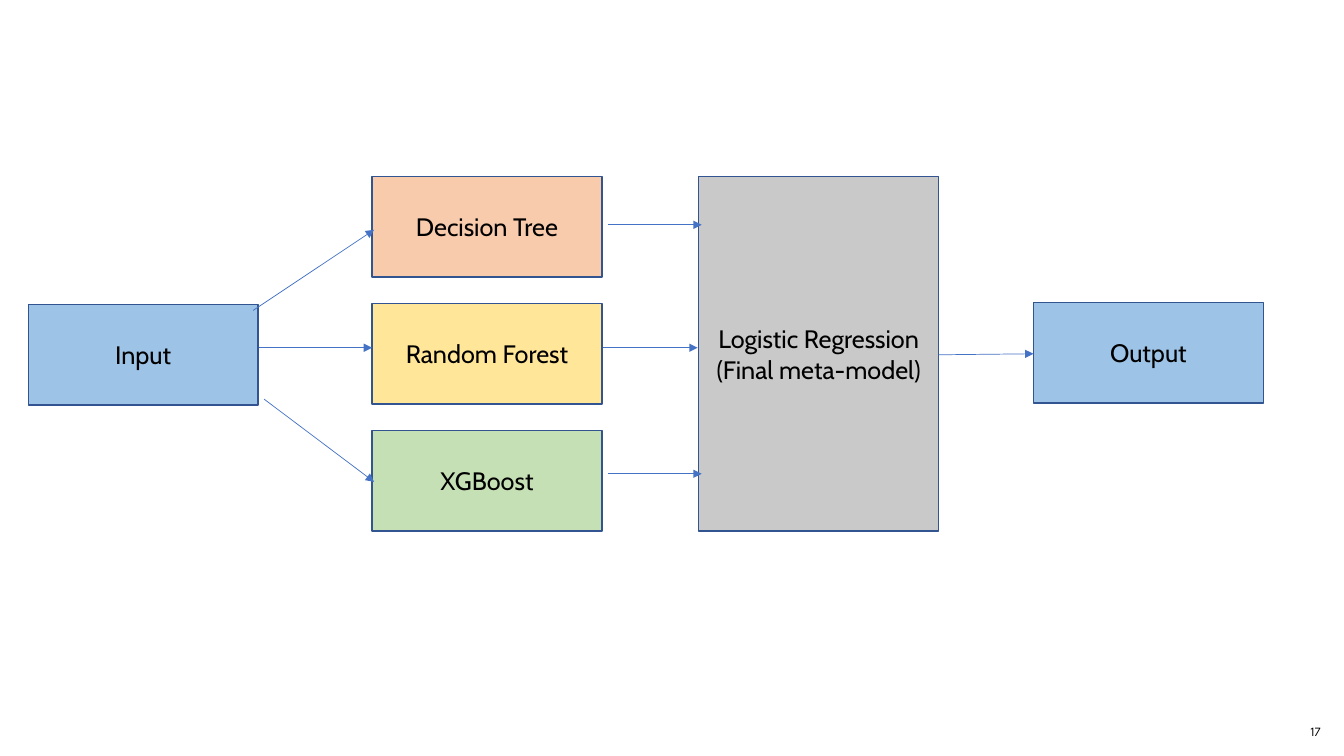
from dataclasses import dataclass

from pptx import Presentation
from pptx import util as u
from pptx.dml.color import RGBColor
from pptx.enum import shapes, text
from pptx.oxml import ns
from lxml import etree

PX = 9144


@dataclass(frozen=True)
class Theme:
    blue: str = "9DC3E6"
    peach: str = "F8CBAD"
    gold: str = "FFE699"
    green: str = "C5E0B4"
    gray: str = "C9C9C9"
    edge: str = "325491"
    arrow: str = "4472C4"
    ink: str = "000000"
    body: str = "Cabin"
    foot: str = "League Spartan"
    label: int = 18
    number: int = 9
    border: float = 1
    stroke: float = 0.5


@dataclass(frozen=True)
class Box:
    words: str
    left: int
    top: int
    fill: str
    wide: int = 228
    high: int = 100


@dataclass(frozen=True)
class Arrow:
    x1: int
    y1: int
    x2: int
    y2: int


THEME = Theme()
TOP, PITCH = 175, 126
MODELS = (
    ("Decision Tree", THEME.peach),
    ("Random Forest", THEME.gold),
    ("XGBoost", THEME.green),
)
BOXES = [
    Box(name, 369, TOP + row * PITCH, fill)
    for row, (name, fill) in enumerate(MODELS)
] + [
    Box("Input", 28, 302, THEME.blue),
    Box("Logistic Regression\n(Final meta-model)", 693, TOP, THEME.gray, 238, 352),
    Box("Output", 1025, 300, THEME.blue),
]
ARROWS = [
    Arrow(251, 308, 371, 228),
    Arrow(257, 345, 369, 345),
    Arrow(262, 396, 371, 478),
    Arrow(603, 223, 696, 223),
    Arrow(598, 345, 692, 345),
    Arrow(603, 470, 696, 470),
    Arrow(931, 352, 1025, 351),
]


def px(count: int) -> u.Emu:
    return u.Emu(count * PX)


def rgb(code: str) -> RGBColor:
    return RGBColor.from_string(code)


def write(frame, words: str, face: str, size: int, align) -> None:
    frame.text = words
    frame.word_wrap = True
    frame.vertical_anchor = text.MSO_ANCHOR.MIDDLE
    for para in frame.paragraphs:
        para.alignment = align
        for run in para.runs:
            run.font.name = face
            run.font.size = u.Pt(size)
            run.font.color.rgb = rgb(THEME.ink)


def draw_box(slide, box: Box) -> None:
    shape = slide.shapes.add_shape(
        shapes.MSO_SHAPE.RECTANGLE,
        px(box.left), px(box.top), px(box.wide), px(box.high),
    )
    shape.shadow.inherit = False
    shape.fill.solid()
    shape.fill.fore_color.rgb = rgb(box.fill)
    shape.line.color.rgb = rgb(THEME.edge)
    shape.line.width = u.Pt(THEME.border)
    write(shape.text_frame, box.words, THEME.body, THEME.label, text.PP_ALIGN.CENTER)


def draw_arrow(slide, arrow: Arrow) -> None:
    link = slide.shapes.add_connector(
        shapes.MSO_CONNECTOR.STRAIGHT,
        px(arrow.x1), px(arrow.y1), px(arrow.x2), px(arrow.y2),
    )
    link.line.color.rgb = rgb(THEME.arrow)
    link.line.width = u.Pt(THEME.stroke)
    props = link._element.spPr
    line = props.find(ns.qn("a:ln"))
    etree.SubElement(line, ns.qn("a:tailEnd"), type="triangle")
    etree.SubElement(props, ns.qn("a:effectLst"))


def draw_number(slide) -> None:
    note = slide.shapes.add_textbox(px(1254), px(712), px(66), px(27))
    write(note.text_frame, "17", THEME.foot, THEME.number, text.PP_ALIGN.RIGHT)


def main() -> None:
    deck = Presentation()
    deck.slide_width = px(1333)
    deck.slide_height = px(750)
    slide = deck.slides.add_slide(deck.slide_layouts[6])
    for box in BOXES:
        draw_box(slide, box)
    for arrow in ARROWS:
        draw_arrow(slide, arrow)
    draw_number(slide)
    deck.save("out.pptx")


if __name__ == "__main__":
    main()
